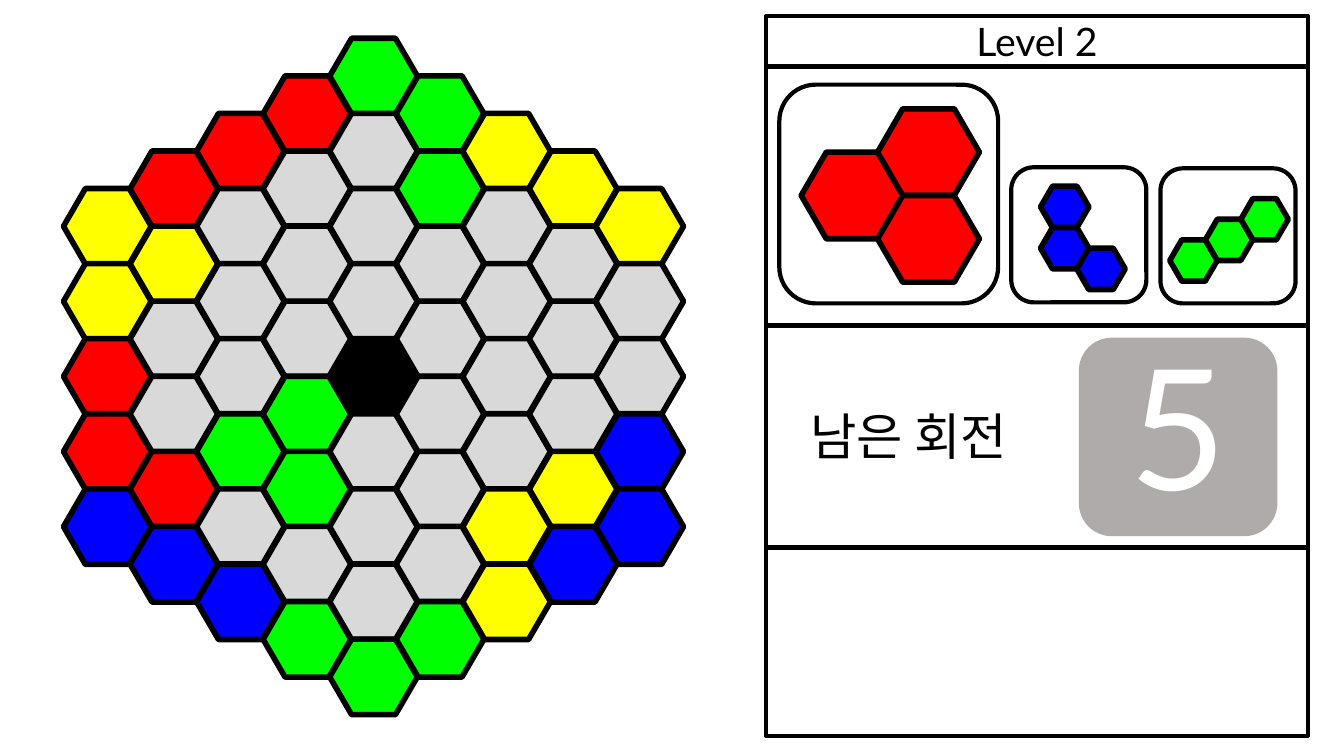
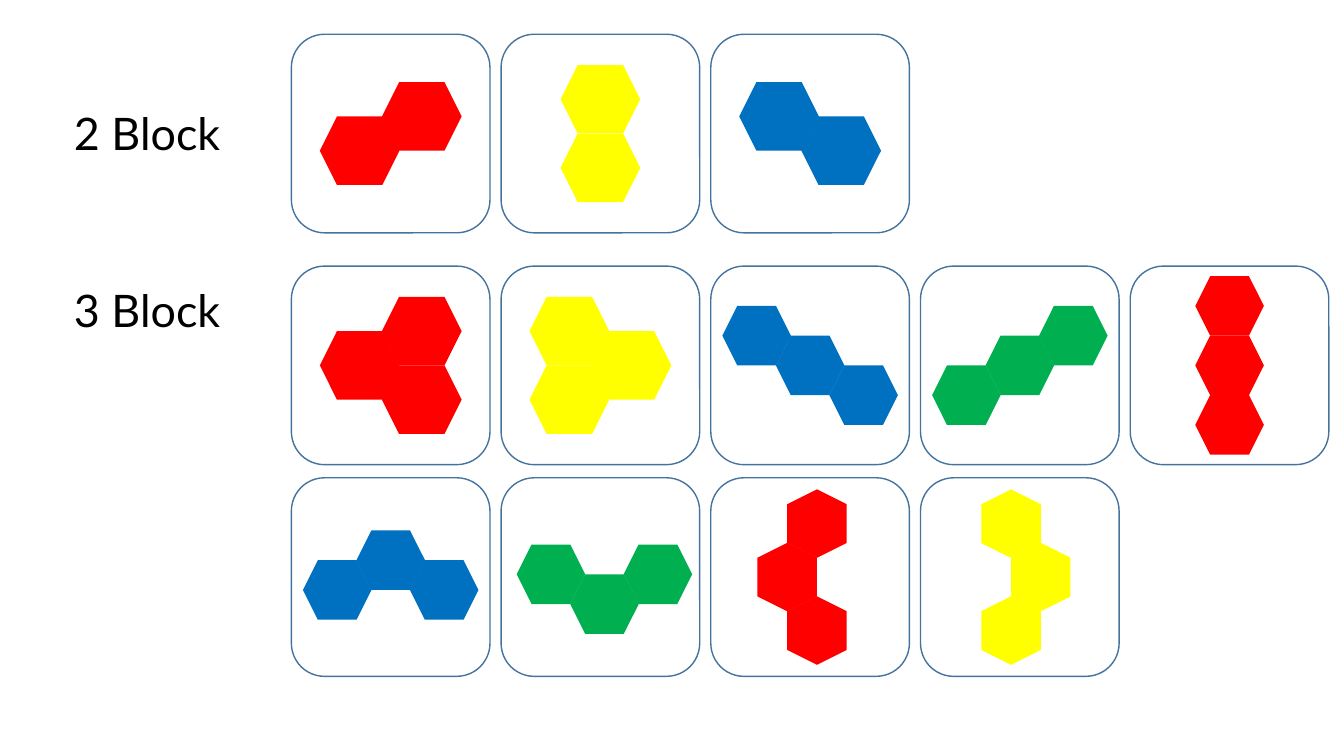
from lxml import etree
from pptx import Presentation, util as u
from pptx.dml.color import RGBColor
from pptx.enum import shapes, text
from pptx.oxml import ns

# Grid: square cells, 13.33 columns by 7.5 rows
CELL = u.Inches(1)
COLUMNS, ROWS = 13.33, 7.5

BLACK = RGBColor(0x00, 0x00, 0x00)
WHITE = RGBColor(0xFF, 0xFF, 0xFF)
LIGHT_GRAY = RGBColor(0xD9, 0xD9, 0xD9)
COUNTER_GRAY = RGBColor(0xAF, 0xAB, 0xAB)
RED = RGBColor(0xFF, 0x00, 0x00)
YELLOW = RGBColor(0xFF, 0xFF, 0x00)
LIME = RGBColor(0x00, 0xFF, 0x00)
BLUE = RGBColor(0x00, 0x00, 0xFF)
GREEN = RGBColor(0x00, 0xB0, 0x50)
MID_BLUE = RGBColor(0x00, 0x70, 0xC0)
TILE_BLUE = RGBColor(0x43, 0x73, 0x9E)

LATIN_FONT, KOREAN_FONT = "Lato", "Noto Sans CJK KR"

# Pieces: hexagons as (column, half row)
RISE_2 = [(0, 1), (1, 0)]
FALL_2 = [(0, 0), (1, 1)]
STACK_2 = [(0, 0), (0, 2)]
TRIO_LEFT = [(0, 1), (1, 0), (1, 2)]
TRIO_RIGHT = [(0, 0), (0, 2), (1, 1)]
FALL_3 = [(0, 0), (1, 1), (2, 2)]
RISE_3 = [(0, 2), (1, 1), (2, 0)]
STACK_3 = [(0, 0), (0, 2), (0, 4)]
ARCH = [(0, 1), (1, 0), (2, 1)]
VALLEY = [(0, 0), (1, 1), (2, 0)]
HOOK = [(0, 0), (0, 2), (1, 3)]


class Deck:
    def __init__(self):
        self.presentation = Presentation()
        self.presentation.slide_width = int(COLUMNS * CELL)
        self.presentation.slide_height = int(ROWS * CELL)
        self.slide = None

    def new_slide(self, layout):
        layouts = self.presentation.slide_layouts
        self.slide = self.presentation.slides.add_slide(layouts.get_by_name(layout))

    def box(self, left, top, width, height):
        return [int(length * CELL) for length in (left, top, width, height)]

    def paint(self, shape, fill=None, line=None, weight=3):
        if fill is None:
            shape.fill.background()
        else:
            shape.fill.solid()
            shape.fill.fore_color.rgb = fill
        if line is None:
            shape.line.fill.background()
        else:
            shape.line.color.rgb = line
            shape.line.width = u.Pt(weight)

    def set_text(self, shape, words, size, color=BLACK, font=LATIN_FONT,
                 align=text.PP_ALIGN.CENTER):
        frame = shape.text_frame
        frame.word_wrap = True
        frame.text = words
        paragraph = frame.paragraphs[0]
        paragraph.alignment = align
        paragraph.font.size = u.Pt(size)
        paragraph.font.name = font
        paragraph.font.color.rgb = color
        properties = paragraph._p.pPr.find(ns.qn("a:defRPr"))
        etree.SubElement(properties, ns.qn("a:ea"), typeface=font)
        return frame

    def title(self, words, size, *place):
        title = self.slide.shapes.title
        title.left, title.top, title.width, title.height = self.box(*place)
        self.paint(title, line=BLACK)
        frame = self.set_text(title, words, size)
        frame.vertical_anchor = text.MSO_ANCHOR.MIDDLE

    def label(self, words, size, *place, **style):
        label = self.slide.shapes.add_textbox(*self.box(*place))
        frame = self.set_text(label, words, size, **style)
        frame.auto_size = text.MSO_AUTO_SIZE.SHAPE_TO_FIT_TEXT

    def shape(self, kind, place, container=None, **style):
        container = container or self.slide.shapes
        shape = container.add_shape(kind, *self.box(*place))
        shape.shadow.inherit = False
        self.paint(shape, **style)
        return shape

    def panel(self, *place):
        return self.shape(shapes.MSO_SHAPE.RECTANGLE, place, line=BLACK)

    def tile(self, left, top, size, **style):
        place = (left, top, size, size)
        return self.shape(shapes.MSO_SHAPE.ROUNDED_RECTANGLE, place, **style)

    def hexagon(self, left, top, width, height, fill, outlined, container=None):
        hexagon = self.shape(shapes.MSO_SHAPE.HEXAGON, (left, top, width, height),
                             container, fill=fill,
                             line=BLACK if outlined else None, weight=4)
        if outlined:
            hexagon.adjustments[0] = 0.29
        return hexagon

    def piece(self, center, cells, fill, width, height, outlined=False, turn=0):
        """Group the hexagons of one piece around a center."""
        pitch = width * (0.75 if outlined else 0.78)
        spots = [(column * pitch, row * height / 2) for column, row in cells]
        if turn:
            spots = [(y, x) for x, y in spots]
        middle = [(min(axis) + max(axis)) / 2 for axis in zip(*spots)]
        group = self.slide.shapes.add_group_shape()
        for x, y in spots:
            left = center[0] + x - middle[0] - width / 2
            top = center[1] + y - middle[1] - height / 2
            hexagon = self.hexagon(left, top, width, height, fill, outlined,
                                   group.shapes)
            hexagon.rotation = turn


deck = Deck()

# Slide 1: game board, one string per column from top to bottom
deck.new_slide("Title Only")
BOARD_COLORS = {"Y": YELLOW, "R": RED, "B": BLUE, "G": LIME,
                "K": BLACK, ".": LIGHT_GRAY}
BOARD = ["YYRRB", "RY..RB", "R...G.B", "R...GG.G", "G...K...G",
         "GG.....G", "Y....YY", "Y...YB", "Y..BB"]
ROW_PITCH = 0.745
for column, cells in enumerate(BOARD):
    top = 0.38 + (9 - len(cells)) * ROW_PITCH / 2
    for row, cell in enumerate(cells):
        deck.hexagon(0.63 + column * 0.66, top + row * ROW_PITCH, 0.87, 0.75,
                     BOARD_COLORS[cell], outlined=True)

# Side panel: level, next pieces, turns left, empty area
PANEL_LEFT, PANEL_WIDTH = 7.6, 5.37
deck.title("Level 2", 28, PANEL_LEFT, 0.16, PANEL_WIDTH, 0.5)
for top, height in [(0.66, 2.57), (3.23, 2.2), (5.44, 1.86)]:
    deck.panel(PANEL_LEFT, top, PANEL_WIDTH, height)

NEXT_PIECES = [
    # tile left, top, size; piece center, cells, color, hexagon size
    (7.73, 0.84, 2.17, (8.83, 1.94), TRIO_LEFT, RED, 1.01, 0.86),
    (10.03, 1.66, 1.34, (10.74, 2.36), HOOK, BLUE, 0.48, 0.41),
    (11.51, 1.67, 1.34, (12.19, 2.38), RISE_3, LIME, 0.47, 0.41),
]
for left, top, size, center, cells, color, width, height in NEXT_PIECES:
    deck.tile(left, top, size, line=BLACK)
    deck.piece(center, cells, color, width, height, outlined=True)

deck.label("남은 회전", 36, 7.94, 3.97, 2.42, 0.71, font=KOREAN_FONT,
           align=text.PP_ALIGN.LEFT)
counter = deck.tile(10.7, 3.35, 1.97, fill=COUNTER_GRAY)
counter_frame = deck.set_text(counter, "5", 120, WHITE)
counter_frame.vertical_anchor = text.MSO_ANCHOR.MIDDLE
counter_frame.margin_bottom = u.Inches(0.31)

# Slide 2: catalogue of pieces
deck.new_slide("Blank")
deck.label("2 Block", 32, 0.63, 1, 1.66, 0.64)
deck.label("3 Block", 32, 0.63, 2.76, 1.66, 0.64)

TILE, TILE_PITCH = 1.97, 2.08
LARGE, SMALL = (0.79, 0.68), (0.68, 0.59)
CATALOGUE = [
    # row top; then cells, color, hexagon size, turn, shift from tile center
    (0.34, [(RISE_2, RED, LARGE, 0, (0, 0)),
            (STACK_2, YELLOW, LARGE, 0, (0, 0)),
            (FALL_2, MID_BLUE, LARGE, 0, (0, 0))]),
    (2.64, [(TRIO_LEFT, RED, LARGE, 0, (0, 0)),
            (TRIO_RIGHT, YELLOW, LARGE, 0, (0, 0)),
            (FALL_3, MID_BLUE, SMALL, 0, (0, 0)),
            (RISE_3, GREEN, SMALL, 0, (0, 0)),
            (STACK_3, RED, SMALL, 0, (0, 0))]),
    (4.74, [(ARCH, MID_BLUE, SMALL, 0, (0, -0.02)),
            (VALLEY, GREEN, SMALL, 0, (0.04, 0.12)),
            (ARCH, RED, SMALL, 90, (-0.08, 0)),
            (VALLEY, YELLOW, SMALL, 270, (0.06, 0))]),
]
for top, pieces in CATALOGUE:
    for column, (cells, color, size, turn, shift) in enumerate(pieces):
        left = 2.89 + column * TILE_PITCH
        deck.tile(left, top, TILE, line=TILE_BLUE, weight=1)
        center = (left + TILE / 2 + shift[0], top + TILE / 2 + shift[1])
        deck.piece(center, cells, color, *size, turn=turn)

deck.presentation.save("out.pptx")
